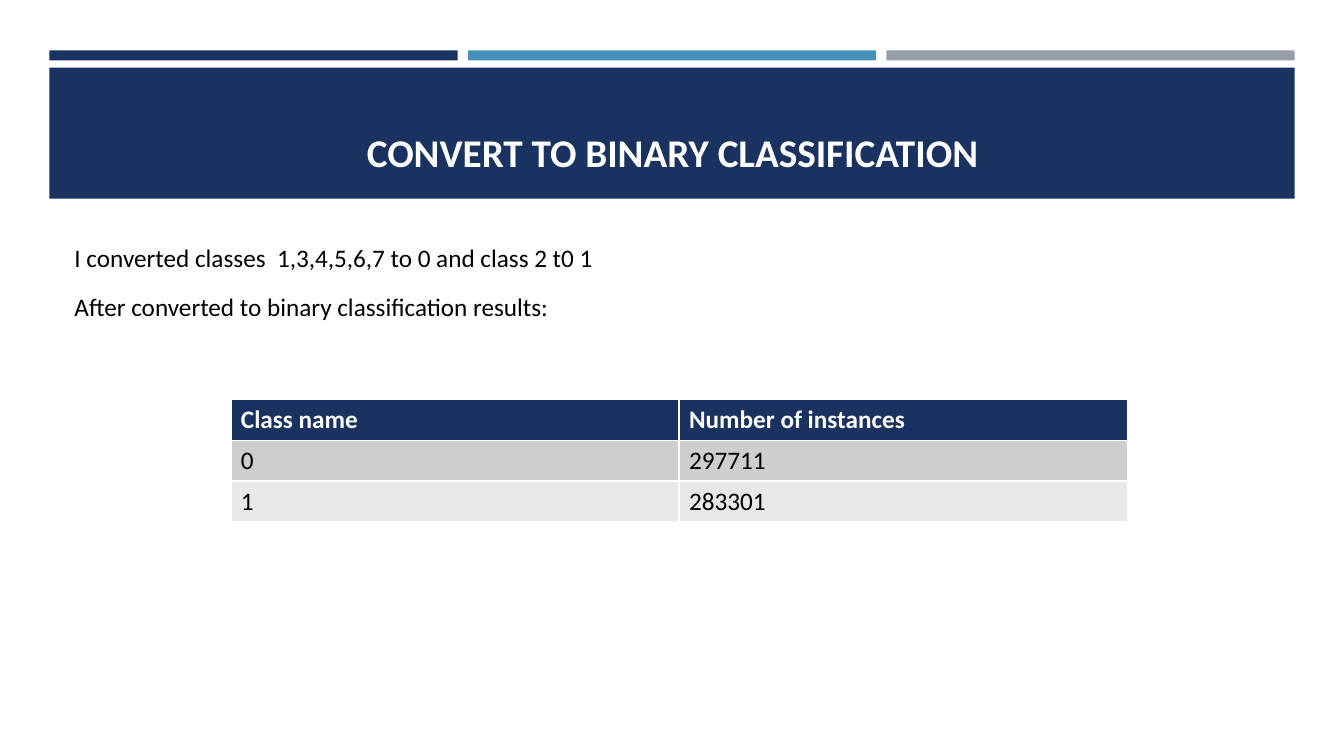
from pptx import Presentation, util as u
from pptx.dml.color import RGBColor
from pptx.enum import shapes, text

WIDTH, HEIGHT = 13.33, 7.5
MARGIN, GAP = 0.49, 0.1
NAVY, BLUE, GREY = "1A3260", "4590B8", "969FA7"
WHITE, BLACK = "FFFFFF", "000000"
ROW_FILLS = [NAVY, "CDCED2", "E8E8EA"]
CLASS_COUNTS = [("Class name", "Number of instances"), ("0", "297711"), ("1", "283301")]
NOTES = [
    "I converted classes  1,3,4,5,6,7 to 0 and class 2 t0 1",
    "After converted to binary classification results:",
]


def box(*lengths):
    return [u.Inches(n) for n in lengths]


def paint(fill, color):
    fill.solid()
    fill.fore_color.rgb = RGBColor.from_string(color)


def style(p, size, color, bold=False):
    p.font.name = "Calibri"
    p.font.size = u.Pt(size)
    p.font.bold = bold
    p.font.color.rgb = RGBColor.from_string(color)


def add_bar(s, left, top, width, height, color):
    bar = s.shapes.add_shape(shapes.MSO_SHAPE.RECTANGLE, *box(left, top, width, height))
    bar.shadow.inherit = False
    paint(bar.fill, color)
    bar.line.fill.background()


def add_header(s):
    """Draw three equal stripes above a full-width band."""
    content = WIDTH - 2 * MARGIN
    stripe = (content - 2 * GAP) / 3
    for i, color in enumerate([NAVY, BLUE, GREY]):
        add_bar(s, MARGIN + i * (stripe + GAP), 0.5, stripe, 0.1, color)
    add_bar(s, MARGIN, 0.67, content, 1.3, NAVY)


def set_title(s, words):
    title = s.shapes.title
    title.left, title.top, title.width, title.height = box(0.64, 0.68, 12.06, 1.11)
    tf = title.text_frame
    tf.text = words
    tf.auto_size = text.MSO_AUTO_SIZE.NONE
    tf.vertical_anchor = text.MSO_ANCHOR.BOTTOM
    p = tf.paragraphs[0]
    p.alignment = text.PP_ALIGN.CENTER
    style(p, 28, WHITE, bold=True)
    # Bring the title in front of the band
    s.shapes._spTree.append(title._element)


def add_notes(s, lines):
    tf = s.shapes.add_textbox(*box(0.64, 2.31, 12.19, 1.41)).text_frame
    tf.word_wrap = True
    tf.text = "\n".join(lines)
    for p in tf.paragraphs:
        p.line_spacing = 1.15
        p.space_after = u.Pt(10)
        style(p, 18, BLACK)


def add_count_table(s, rows):
    frame = s.shapes.add_table(len(rows), len(rows[0]), *box(2.29, 3.96, 8.89, 1.22))
    for r, values in enumerate(rows):
        is_header = r == 0
        for c, value in enumerate(values):
            cell = frame.table.cell(r, c)
            cell.text = value
            paint(cell.fill, ROW_FILLS[r])
            style(cell.text_frame.paragraphs[0], 18, WHITE if is_header else BLACK, is_header)


def main():
    prs = Presentation()
    prs.slide_width, prs.slide_height = box(WIDTH, HEIGHT)
    s = prs.slides.add_slide(prs.slide_layouts.get_by_name("Title Only"))
    add_header(s)
    set_title(s, "CONVERT TO BINARY CLASSIFICATION")
    add_notes(s, NOTES)
    add_count_table(s, CLASS_COUNTS)
    prs.save("out.pptx")


if __name__ == "__main__":
    main()
